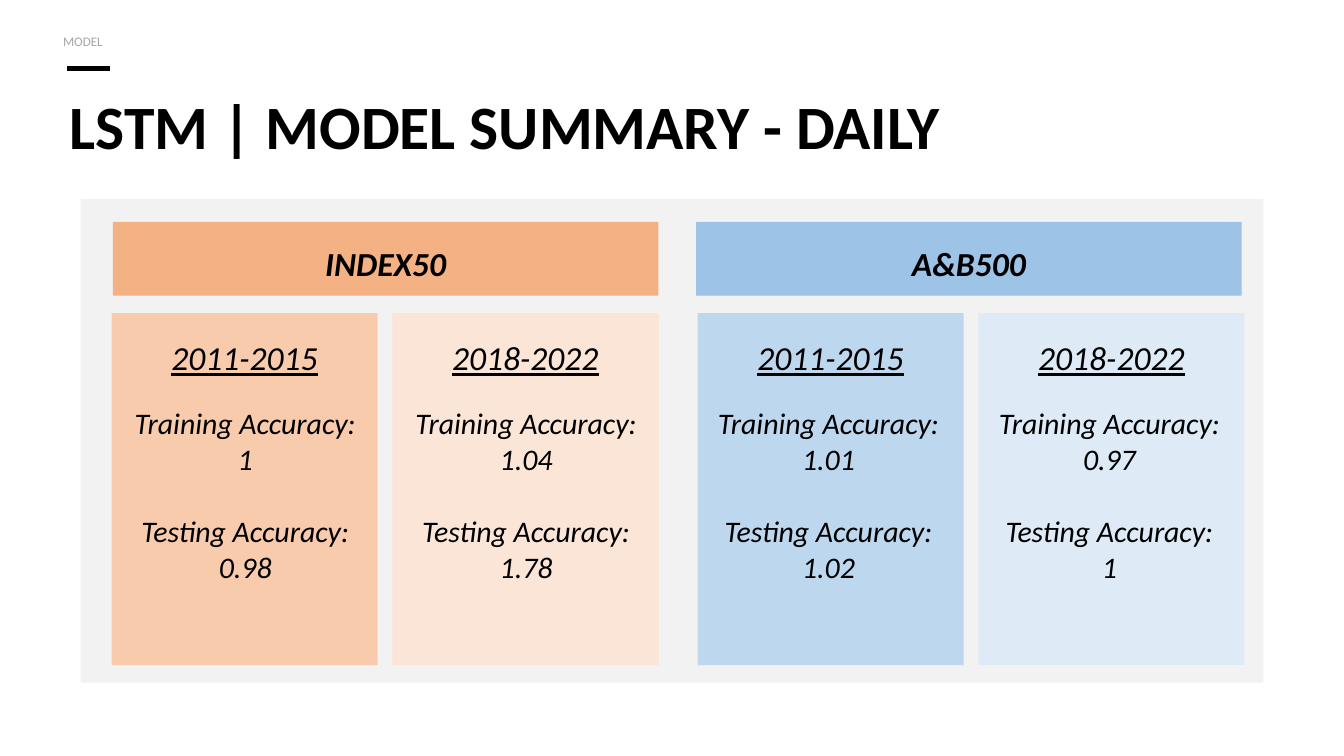
from lxml.etree import SubElement
from pptx import Presentation
from pptx.dml.color import RGBColor
from pptx.enum.shapes import MSO_CONNECTOR, MSO_SHAPE
from pptx.enum.text import PP_ALIGN
from pptx.oxml.ns import qn
from pptx.util import Inches, Pt

COLORS = {
    "black": "000000", "label": "A6A6A6", "backdrop": "F2F2F2",
    "orange": "F4B183", "orange_mid": "F8CBAD", "orange_light": "FBE5D6",
    "blue": "9DC3E6", "blue_mid": "BDD7EE", "blue_light": "DEEBF7",
}


def color(name):
    return RGBColor.from_string(COLORS[name])


def add_text(p, text, size=16, fill="black", bold=False, italic=False,
             underline=False, align=None, spacing=None, before=None):
    r = p.add_run()
    r.text = text
    r.font.name = "Calibri"
    r.font.size = Pt(size)
    r.font.color.rgb = color(fill)
    r.font.bold, r.font.italic, r.font.underline = bold, italic, underline
    p.alignment = align
    if spacing:
        p.line_spacing = Pt(spacing)
    if before:
        p.space_before = Pt(before)


class SlideBuilder:
    def __init__(self, slide):
        self.s = slide

    def rect(self, x, y, w, h, fill):
        sp = self.s.shapes.add_shape(MSO_SHAPE.RECTANGLE, Inches(x), Inches(y),
                                     Inches(w), Inches(h))
        sp.shadow.inherit = False
        sp.fill.solid()
        sp.fill.fore_color.rgb = color(fill)
        sp.line.fill.background()

    def rule(self, x1, x2, y, width):
        line = self.s.shapes.add_connector(MSO_CONNECTOR.STRAIGHT, Inches(x1),
                                           Inches(y), Inches(x2), Inches(y))
        line.line.color.rgb = color("black")
        line.line.width = Pt(width)
        SubElement(line._element.spPr, qn("a:effectLst"))

    def text(self, x, y, w, h, lines, inset=0.05, **style):
        """Each line is a (text, space before) pair."""
        tf = self.s.shapes.add_textbox(Inches(x), Inches(y), Inches(w),
                                       Inches(h)).text_frame
        tf.word_wrap = True
        tf.margin_left = tf.margin_right = Inches(inset)
        tf.margin_top = tf.margin_bottom = Inches(0.05)
        for i, (text, before) in enumerate(lines):
            p = tf.paragraphs[0] if i == 0 else tf.add_paragraph()
            add_text(p, text, before=before, **style)


def main():
    prs = Presentation()
    prs.slide_width = Inches(10)
    prs.slide_height = prs.slide_width * 9 // 16
    b = SlideBuilder(prs.slides.add_slide(prs.slide_layouts[6]))

    # Heading
    b.rule(0.5, 0.82, 0.51, 2.25)
    b.text(0.42, 0.74, 9.22, 0.9, [("LSTM | MODEL SUMMARY - DAILY", None)],
           inset=0.1, size=33, bold=True, spacing=30)
    b.text(0.42, 0.18, 4.52, 0.23, [("MODEL", None)], size=7, fill="label",
           spacing=10)

    # Backdrop
    b.rect(0.6, 1.48, 8.8, 3.6, "backdrop")

    # One group per index: name, hue, left of bar, panels and details, periods
    groups = [
        ("INDEX50", "orange", 0.84, 0.83, 0.94,
         [("2011-2015", "1", "0.98"), ("2018-2022", "1.04", "1.78")]),
        ("A&B500", "blue", 5.18, 5.19, 5.28,
         [("2011-2015", "1.01", "1.02"), ("2018-2022", "0.97", "1")]),
    ]
    bar_w, name_w = 4.06, 1.1
    panel_w, panel_step, period_w = 1.98, 2.09, 1.2
    center = PP_ALIGN.CENTER

    for name, hue, bar_x, panel_x, detail_x, periods in groups:
        # Index bar
        b.rect(bar_x, 1.65, bar_w, 0.55, hue)
        b.text(bar_x + (bar_w - name_w) / 2, 1.76, name_w, 0.4,
               [(name, None)], size=18, bold=True, italic=True, align=center)

        # Period panels
        for i, (period, training, testing) in enumerate(periods):
            dx = i * panel_step
            x = panel_x + dx
            b.rect(x, 2.33, panel_w, 2.62, hue + ("_mid", "_light")[i])
            b.text(x + (panel_w - period_w) / 2, 2.46, period_w, 0.4,
                   [(period, None)], size=18, italic=True, underline=True,
                   align=center)
            b.text(detail_x + dx, 2.96, 1.77, 1.45,
                   [("Training Accuracy:", None), (training, None),
                    ("Testing Accuracy:", 19.5), (testing, None)],
                   italic=True, align=center)

    prs.save("out.pptx")


if __name__ == "__main__":
    main()
